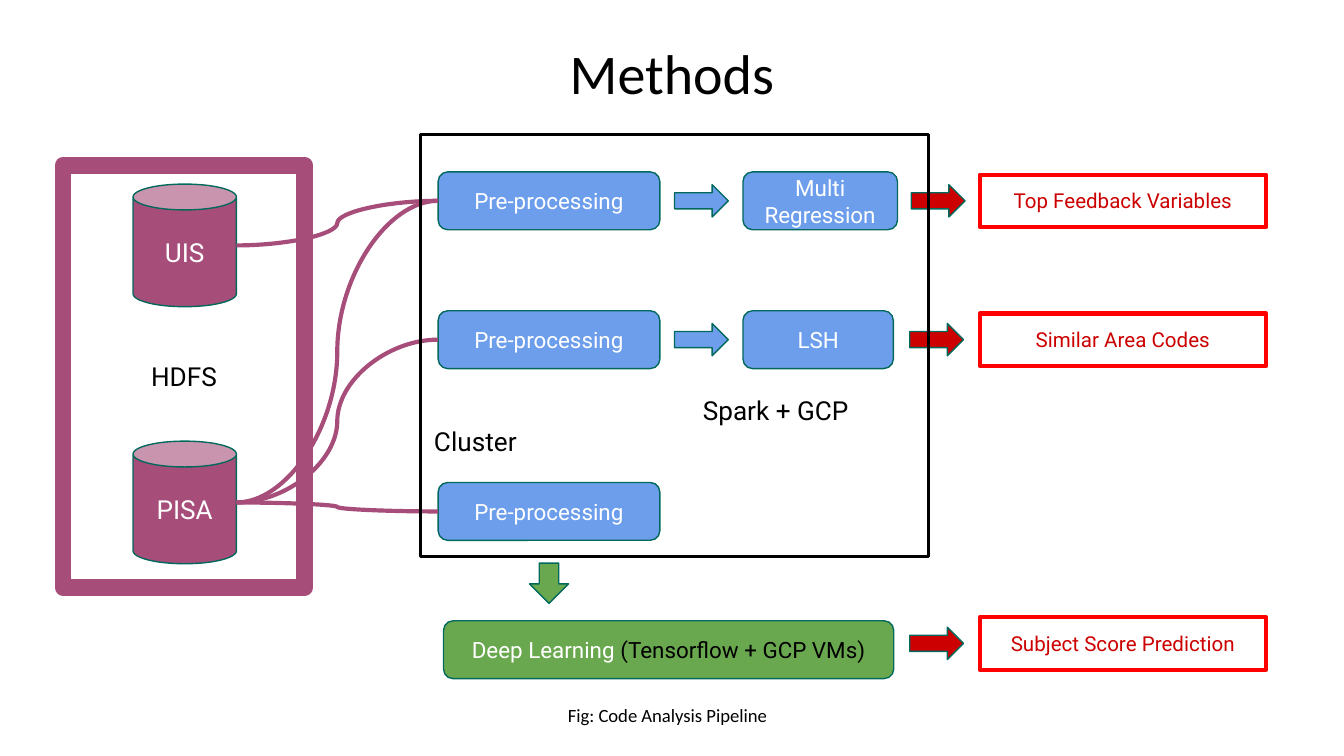
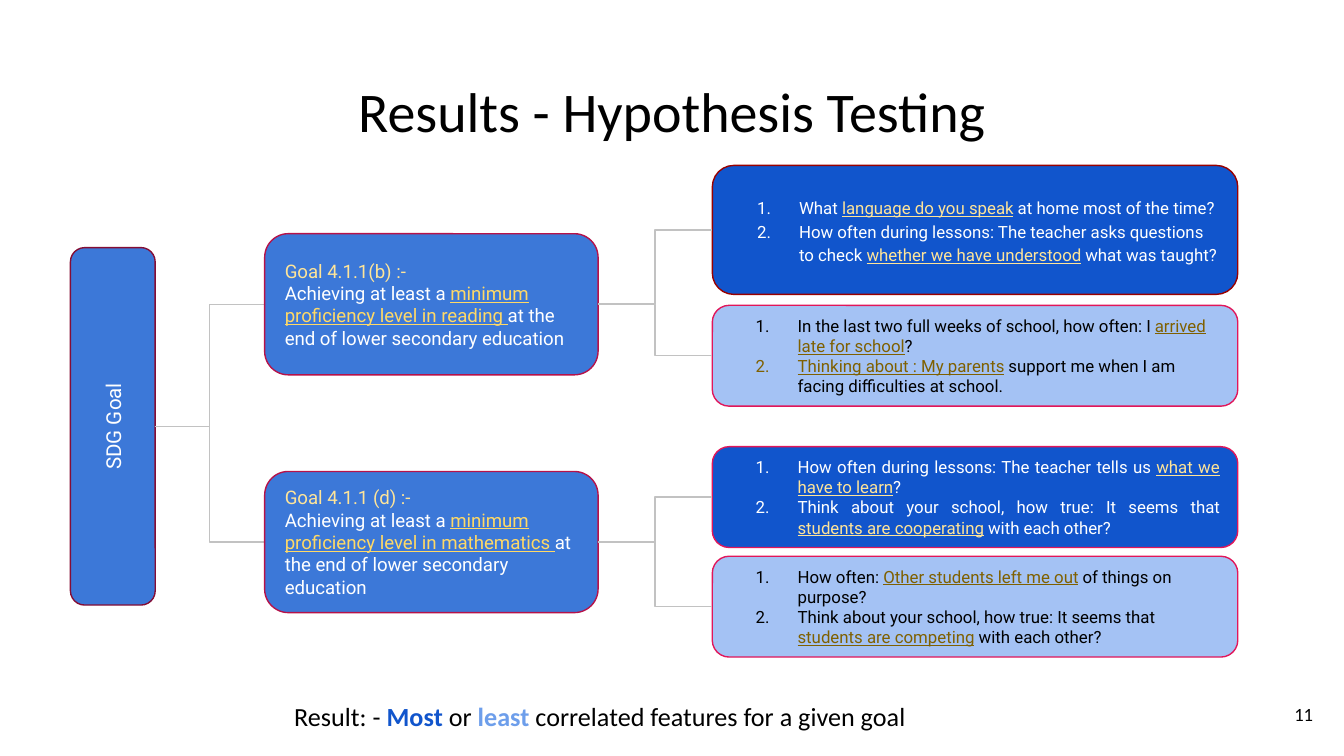
from lxml import etree
from pptx import Presentation
from pptx.dml.color import RGBColor
from pptx.enum.shapes import MSO_CONNECTOR, MSO_SHAPE
from pptx.enum.text import MSO_ANCHOR, MSO_AUTO_SIZE, PP_ALIGN
from pptx.oxml.ns import qn
from pptx.util import Pt

CAN, RECT, ROUND = MSO_SHAPE.CAN, MSO_SHAPE.RECTANGLE, MSO_SHAPE.ROUNDED_RECTANGLE
RIGHT_ARROW, DOWN_ARROW = MSO_SHAPE.RIGHT_ARROW, MSO_SHAPE.DOWN_ARROW
CURVE, ELBOW = MSO_CONNECTOR.CURVE, MSO_CONNECTOR.ELBOW
LEFT, CENTER, RIGHT, JUSTIFY = PP_ALIGN.LEFT, PP_ALIGN.CENTER, PP_ALIGN.RIGHT, PP_ALIGN.JUSTIFY
TOP, MIDDLE = MSO_ANCHOR.TOP, MSO_ANCHOR.MIDDLE

COLORS = {
    "black": "000000", "white": "FFFFFF", "plum": "A64D79", "teal": "00695C",
    "blue": "6D9EEB", "green": "6AA84F", "crimson": "CC0000", "red": "FF0000",
    "gray": "C2C2C2", "goal": "3C78D8", "most": "1155CC", "least": "A4C2F4",
    "maroon": "840D35", "berry": "B61249", "pink": "E1165A", "brick": "980000",
    "cream": "FFE599", "gold": "FFD966", "olive": "7F6000",
}
MARGIN = 7.2


def rgb(name):
    """Return the named colour."""
    return RGBColor.from_string(COLORS[name])


class Deck:
    """Style of the deck and the slide being built."""

    def __init__(self):
        """Open an empty widescreen presentation."""
        self.prs = Presentation()
        self.prs.slide_width, self.prs.slide_height = Pt(720), Pt(405)

    def slide(self, title, y):
        """Add a slide with its title at height y."""
        self.s = self.prs.slides.add_slide(self.prs.slide_layouts[5])
        sp = self.s.shapes.title
        place = {"left": 24.5, "top": y, "width": 671, "height": 48.2}
        for name, value in place.items():
            setattr(sp, name, Pt(value))
        self.fill_text(sp, [[(title, "black")]], 30, "Calibri", anchor=TOP, top=10)

    def fill_text(self, sp, paragraphs, size, font="Roboto", align=CENTER, anchor=MIDDLE,
                  top=MARGIN, numbered=False, spacing=None, indent=0):
        """Fill a shape with paragraphs of (text, colour, *styles) runs."""
        tf = sp.text_frame
        frame = {"word_wrap": True, "auto_size": MSO_AUTO_SIZE.NONE, "vertical_anchor": anchor,
                 "margin_left": Pt(MARGIN), "margin_right": Pt(MARGIN),
                 "margin_top": Pt(top), "margin_bottom": Pt(MARGIN)}
        for name, value in frame.items():
            setattr(tf, name, value)
        for i, runs in enumerate(paragraphs):
            p = tf.add_paragraph() if i else tf.paragraphs[0]
            p.alignment, p.line_spacing = align, spacing
            if indent:
                p._p.get_or_add_pPr().set("indent", str(Pt(indent)))
            if numbered:
                self.number(p, runs[0][1])
            for text, color, *styles in runs:
                r = p.add_run()
                r.text = text
                r.font.color.rgb = rgb(color)
                style = {"name": font, "size": Pt(size), **dict.fromkeys(styles, True)}
                for name, value in style.items():
                    setattr(r.font, name, value)

    def number(self, p, color):
        """Number a paragraph with a hanging indent."""
        pPr = p._p.get_or_add_pPr()
        pPr.set("marL", str(Pt(36)))
        pPr.set("indent", str(Pt(-22.5)))
        clr = etree.SubElement(pPr, qn("a:buClr"))
        etree.SubElement(clr, qn("a:srgbClr"), val=COLORS[color])
        etree.SubElement(pPr, qn("a:buFont"), typeface="Roboto")
        etree.SubElement(pPr, qn("a:buAutoNum"), type="arabicPeriod")

    def shape(self, kind, x, cy, w, h, fill, line="teal", weight=0.75):
        """Add a preset shape centred vertically on cy."""
        sp = self.s.shapes.add_shape(kind, Pt(x), Pt(cy - h / 2), Pt(w), Pt(h))
        sp.shadow.inherit = False
        if fill:
            sp.fill.solid()
            sp.fill.fore_color.rgb = rgb(fill)
        else:
            sp.fill.background()
        sp.line.color.rgb = rgb(line)
        sp.line.width = Pt(weight)
        return sp

    def step(self, text, x, cy, w):
        """Add a blue pipeline step."""
        sp = self.shape(ROUND, x, cy, w, 31, "blue")
        self.fill_text(sp, [[(t, "white")] for t in text.split("\n")], 12)

    def arrow(self, x, cy, fill):
        """Add a right block arrow."""
        self.shape(RIGHT_ARROW, x, cy, 28.8, 17.3, fill)

    def output(self, text, cy):
        """Add a red result box."""
        sp = self.shape(RECT, 524.9, cy, 153.4, 28.1, None, "red", 2.25)
        self.fill_text(sp, [[(text, "crimson")]], 11, anchor=TOP)

    def connect(self, kind, x1, y1, x2, y2, color, weight):
        """Add a connector without shadow."""
        c = self.s.shapes.add_connector(kind, Pt(x1), Pt(y1), Pt(x2), Pt(y2))
        c.line.color.rgb = rgb(color)
        c.line.width = Pt(weight)
        etree.SubElement(c._element.spPr, qn("a:effectLst"))

    def text(self, runs, x, y, w, h, size, **options):
        """Add a Calibri text box."""
        sp = self.s.shapes.add_textbox(Pt(x), Pt(y), Pt(w), Pt(h))
        self.fill_text(sp, [runs], size, "Calibri", **options)


def methods(deck):
    """Build the pipeline slide."""
    deck.slide("Methods", 10.8)
    rows = top, middle, bottom = 107.6, 182, 274
    deep = 344.7
    uis, pisa = 131.5, 269.2
    for name, cy in (("UIS", uis), ("PISA", pisa)):
        deck.fill_text(deck.shape(CAN, 71.3, cy, 55.4, 65.7, "plum"), [[(name, "white")]], 14)
    store = deck.shape(RECT, 33.8, 201.6, 129.6, 226, None, "plum", 9)
    deck.fill_text(store, [[("HDFS", "black")]], 14)

    for cy in rows:
        deck.step("Pre-processing", 234.7, cy, 118.8)
    for start, end in ((pisa, top), (uis, top), (pisa, middle), (pisa, bottom)):
        deck.connect(CURVE, 126.7, start, 234.7, end, "plum", 2.25)

    learning = deck.shape(ROUND, 237.6, 348.1, 241.2, 31, "green")
    deck.fill_text(learning, [[("Deep Learning ", "white"),
                               ("(Tensorflow + GCP VMs)", "black")]], 12)
    deck.shape(DOWN_ARROW, 283.7, 312.5, 20.9, 21.6, "green")

    deck.step("Multi\nRegression", 398, top, 82.8)
    deck.step("LSH", 398, middle, 80.6)
    for cy in (top, middle):
        deck.arrow(361.4, cy, "blue")
    for text, cy, x in (("Top Feedback Variables", top, 488.2),
                        ("Similar Area Codes", middle, 487.4),
                        ("Subject Score Prediction", deep, 487.4)):
        deck.arrow(x, cy, "crimson")
        deck.output(text, cy)

    cluster = deck.shape(RECT, 225.4, 185, 272.2, 226.1, None, "black", 1.5)
    deck.fill_text(cluster, [[("Spark + GCP Cluster", "black")]], 14,
                   align=LEFT, top=93, indent=144)
    deck.text([("Fig: Code Analysis Pipeline", "black")], 168.5, 370, 378, 17.3, 10, anchor=TOP)


GOALS = [
    (163, [[("Goal 4.1.1(b) :-", "cream")],
           [("Achieving at least a ", "white"),
            ("minimum proficiency level in reading ", "gold", "underline"),
            ("at the end of lower secondary education", "white")]]),
    (290.4, [[("Goal 4.1.1 (d) :-", "cream")],
             [("Achieving at least a ", "white"),
              ("minimum proficiency level in mathematics ", "gold", "underline"),
              ("at the end of lower secondary education", "white")]]),
]

FEATURES = [
    (0, 123.2, 69.1, "most", "brick", {"spacing": 1.15}, [
        [("What ", "white"), ("language do you speak", "cream", "underline"),
         (" at home most of the time?", "white")],
        [("How often during lessons: The teacher asks questions to check ", "white"),
         ("whether we have understood", "cream", "underline"), (" what was taught?", "white")]]),
    (0, 190.6, 54, "least", "pink", {}, [
        [("In the last two full weeks of school, how often: I ", "black"),
         ("arrived late for school", "olive", "underline"), ("?", "black")],
        [("Thinking about : My parents", "olive", "underline"),
         (" support me when I am facing difficulties at school.", "black")]]),
    (1, 266.3, 54, "most", "pink", {"align": JUSTIFY}, [
        [("How often during lessons: The teacher tells us ", "white"),
         ("what we have to learn", "cream", "underline"), ("?", "white")],
        [("Think about your school, how true: It seems that ", "white"),
         ("students are cooperating", "cream", "underline"), (" with each other?", "white")]]),
    (1, 325, 54, "least", "pink", {}, [
        [("How often: ", "black"), ("Other students left me out", "olive", "underline"),
         (" of things on purpose?", "black")],
        [("Think about your school, how true: It seems that ", "black"),
         ("students are competing", "olive", "underline"), (" with each other?", "black")]]),
]


def results(deck):
    """Build the hypothesis tree slide."""
    deck.slide("Results - Hypothesis Testing", 31)
    deck.text([("11", "black")], 667.4, 367.2, 43.2, 31, 10, align=RIGHT)
    root = 228.4
    sdg = deck.shape(ROUND, -35.3, root, 191.5, 45.4, "goal", "maroon")
    sdg.rotation = 270
    deck.fill_text(sdg, [[("SDG Goal", "white")]], 11)
    for cy, paragraphs in GOALS:
        deck.connect(ELBOW, 82.8, root, 141.8, cy, "gray", 0.75)
        sp = deck.shape(ROUND, 141.8, cy, 178.6, 75.6, "goal", "berry")
        deck.fill_text(sp, paragraphs, 10, align=LEFT)
    for goal, cy, h, fill, line, options, paragraphs in FEATURES:
        sp = deck.shape(ROUND, 381.6, cy, 281.5, h, fill, line)
        deck.fill_text(sp, paragraphs, 9, numbered=True, **{"align": LEFT, **options})
        deck.connect(ELBOW, 320.4, GOALS[goal][0], 381.6, cy, "gray", 0.75)
    deck.text([("Result: - ", "black"), ("Most ", "most", "bold"), ("or ", "black"),
               ("least ", "blue", "bold"), ("correlated features for a given goal", "black")],
              150.5, 370, 409, 10.8, 14, align=LEFT, anchor=TOP)


def main():
    """Build and save the deck."""
    deck = Deck()
    methods(deck)
    results(deck)
    deck.prs.save("out.pptx")


if __name__ == "__main__":
    main()
